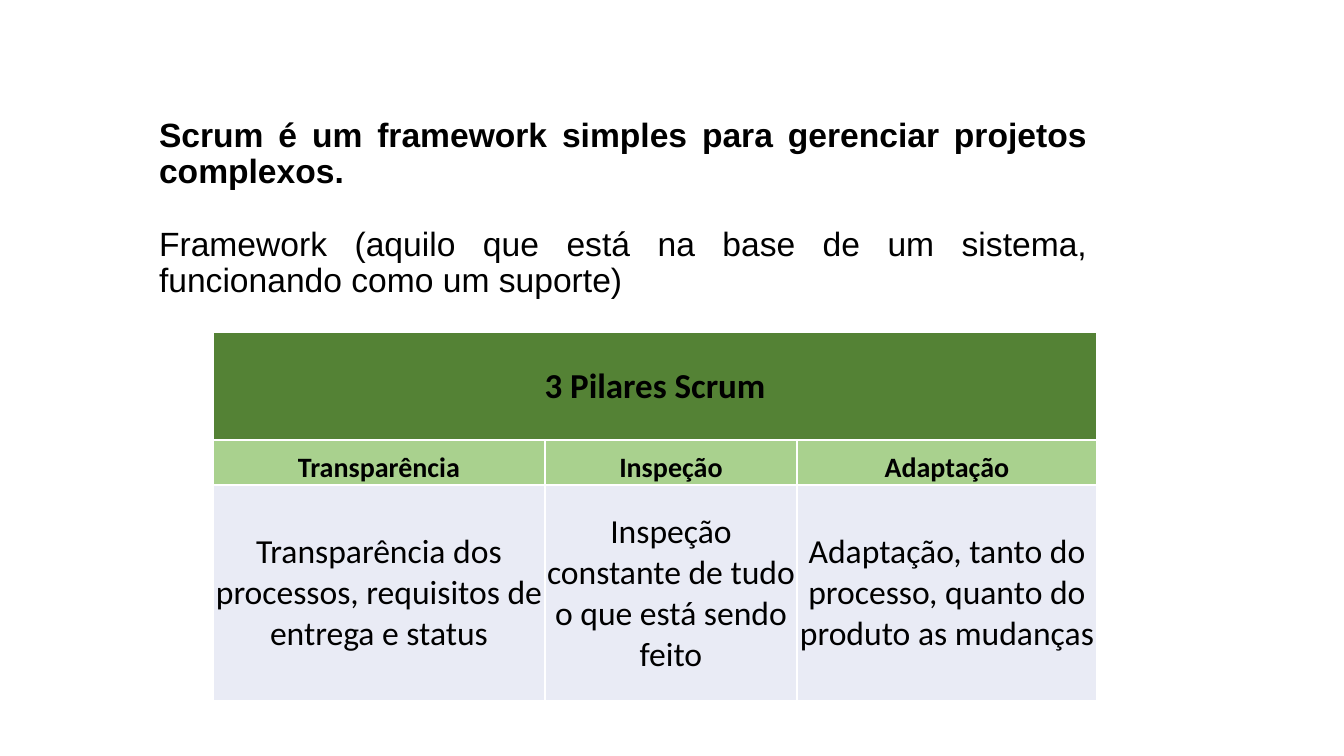
from dataclasses import dataclass

from lxml import etree
from pptx import Presentation
from pptx.dml.color import RGBColor
from pptx.enum.text import MSO_ANCHOR, MSO_AUTO_SIZE, PP_ALIGN
from pptx.oxml.ns import qn
from pptx.util import Pt

PIXEL = 9071  # EMU, at 100.8 pixels to the inch
CENTER, JUSTIFY = PP_ALIGN.CENTER, PP_ALIGN.JUSTIFY
MIDDLE, BOTTOM = MSO_ANCHOR.MIDDLE, MSO_ANCHOR.BOTTOM


@dataclass(frozen=True)
class Theme:
    text: str = "000000"
    border: str = "FFFFFF"
    heading_fill: str = "548235"
    pillar_fill: str = "A9D18E"
    detail_fill: str = "E9EBF5"
    title_font: str = "Arial"
    table_font: str = "Calibri"
    body_size: int = 24
    heading_size: int = 25
    pillar_size: int = 20


theme = Theme()


def add_span(para, text, font, size, bold):
    span = para.add_run()
    span.text = text
    span.font.name = font
    span.font.size = Pt(size)
    span.font.bold = bold
    span.font.color.rgb = RGBColor.from_string(theme.text)


def style_cell(cell, fill, anchor):
    cell.margin_left = cell.margin_right = cell.margin_top = PIXEL
    cell.margin_bottom = 0
    cell.vertical_anchor = anchor
    properties = cell._tc.get_or_add_tcPr()
    for side in ("a:lnL", "a:lnR", "a:lnT", "a:lnB"):
        line = etree.SubElement(properties, qn(side), w=str(Pt(1)))
        solid = etree.SubElement(line, qn("a:solidFill"))
        etree.SubElement(solid, qn("a:srgbClr"), val=theme.border)
    cell.fill.solid()
    cell.fill.fore_color.rgb = RGBColor.from_string(fill)


# Slide with the title-only layout
deck = Presentation()
deck.slide_width, deck.slide_height = 1344 * PIXEL, 756 * PIXEL
page = deck.slides.add_slide(deck.slide_layouts[5])

# Title: statement and definition
title = page.shapes.title
title.left, title.top = 149 * PIXEL, 180 * PIXEL
title.width, title.height = 948 * PIXEL, 125 * PIXEL
frame = title.text_frame
frame.word_wrap = True
frame.auto_size = MSO_AUTO_SIZE.NONE
frame.vertical_anchor = BOTTOM
statement, definition = frame.paragraphs[0], frame.add_paragraph()
for para, text, bold, gap in (
    (statement, "Scrum é um framework simples para gerenciar projetos complexos.", True, 0),
    (definition, "Framework (aquilo que está na base de um sistema, "
                 "funcionando como um suporte)", False, 26),
):
    para.alignment = JUSTIFY
    para.line_spacing = 0.9
    para.space_before = Pt(gap)
    add_span(para, text, theme.title_font, theme.body_size, bold)

# Table of the three pillars
column_widths = (332, 252, 300)
row_heights = (108, 45, 216)
table = page.shapes.add_table(
    len(row_heights), len(column_widths), 213 * PIXEL, 332 * PIXEL,
    sum(column_widths) * PIXEL, sum(row_heights) * PIXEL).table
for column, width in zip(table.columns, column_widths):
    column.width = width * PIXEL
for row, height in zip(table.rows, row_heights):
    row.height = height * PIXEL
table.cell(0, 0).merge(table.cell(0, 2))

# Each row: texts, fill, anchor, size, bold
pillar_rows = (
    (("3 Pilares Scrum", "", ""),
     theme.heading_fill, MIDDLE, theme.heading_size, True),
    (("Transparência", "Inspeção", "Adaptação"),
     theme.pillar_fill, BOTTOM, theme.pillar_size, True),
    (("Transparência dos processos, requisitos de entrega e status",
      "Inspeção constante de tudo o que está sendo feito",
      "Adaptação, tanto do processo, quanto do produto as mudanças"),
     theme.detail_fill, MIDDLE, theme.body_size, False),
)
for row, (texts, fill, anchor, size, bold) in zip(table.rows, pillar_rows):
    for cell, text in zip(row.cells, texts):
        style_cell(cell, fill, anchor)
        if text:
            para = cell.text_frame.paragraphs[0]
            para.alignment = CENTER
            add_span(para, text, theme.table_font, size, bold)

deck.save("out.pptx")
